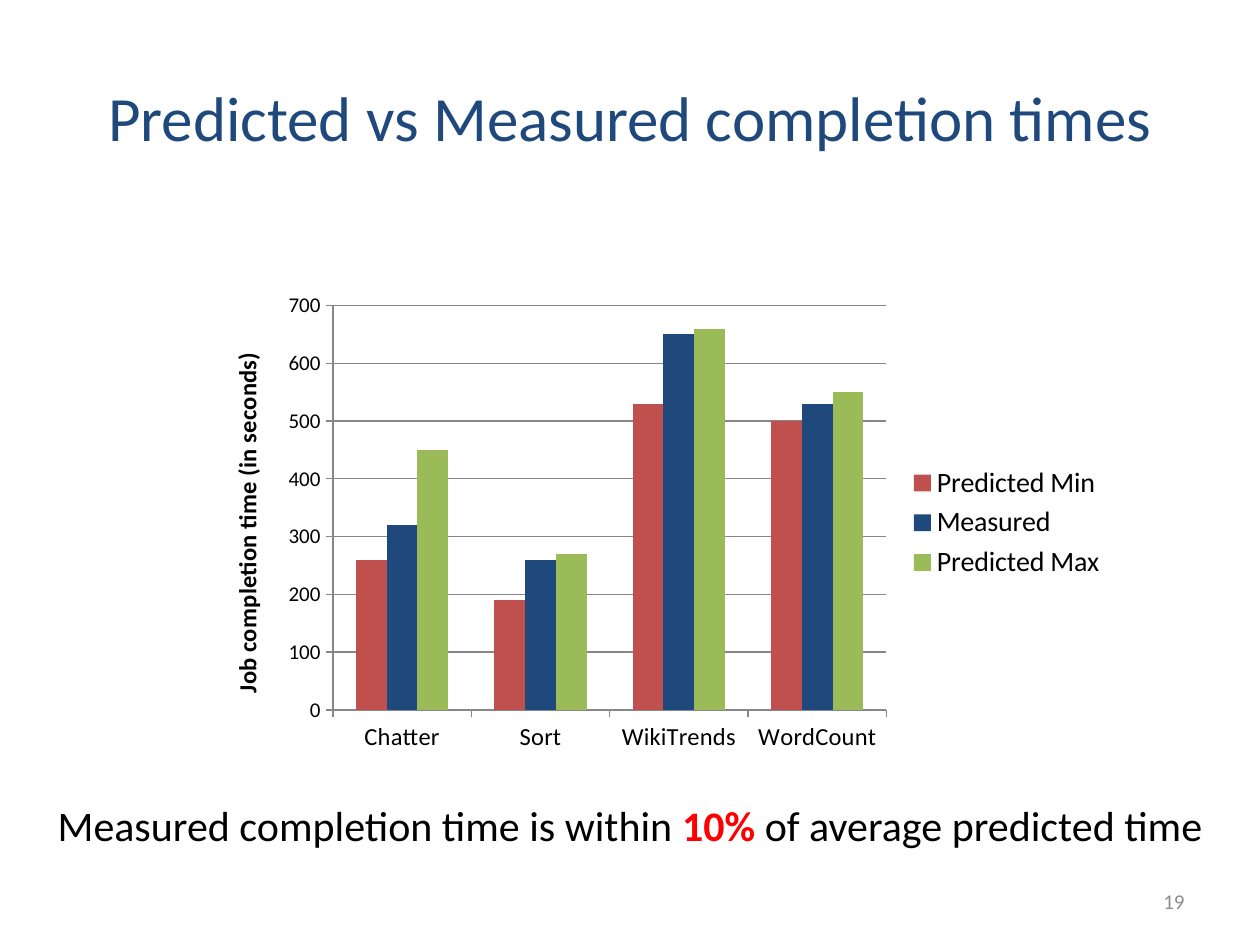
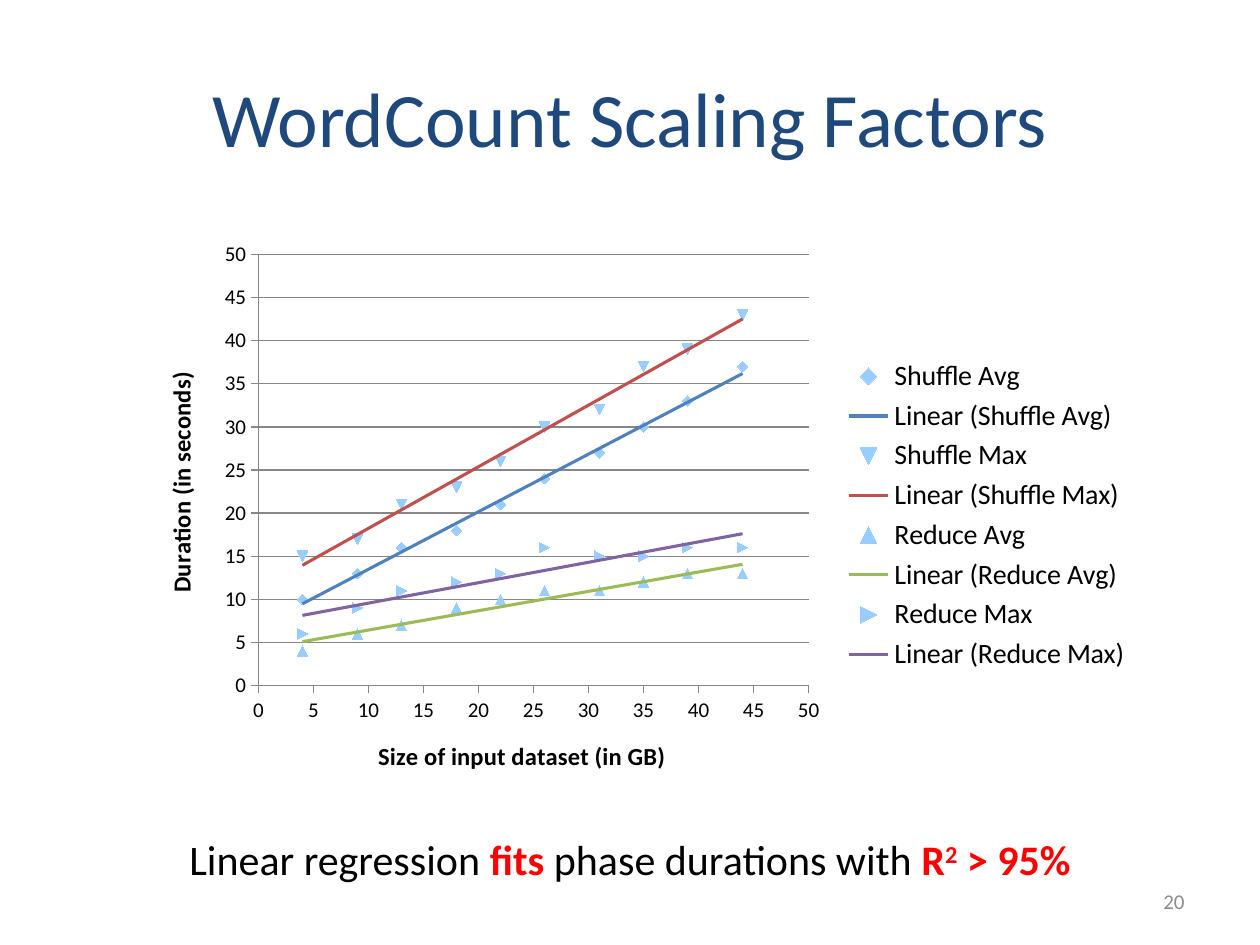
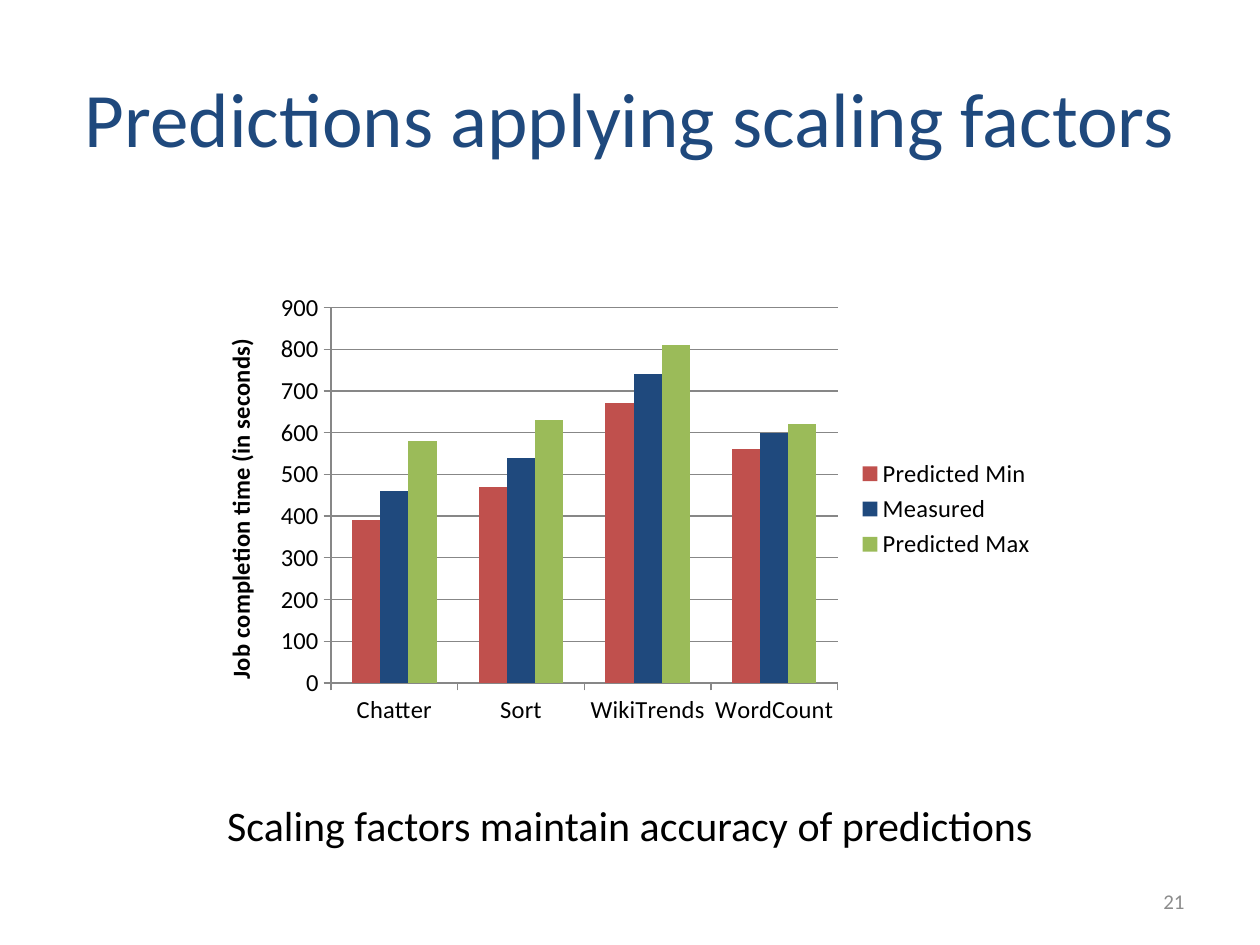
from lxml import etree
from pptx import Presentation
from pptx import util as u
from pptx.chart import data
from pptx.dml.color import RGBColor
from pptx.enum import chart as ch
from pptx.enum import text as tx
from pptx.oxml.ns import qn

Pt = u.Pt
FONT = "Calibri"
BLACK = RGBColor(0x00, 0x00, 0x00)
NAVY = RGBColor(0x1F, 0x49, 0x7D)
RED = RGBColor(0xFF, 0x00, 0x00)
GRAY = RGBColor(0x8C, 0x8C, 0x8C)
AXIS_GRAY = RGBColor(0x87, 0x87, 0x87)
BLUE = RGBColor(0x4F, 0x81, 0xBD)
BRICK = RGBColor(0xC0, 0x50, 0x4D)
GREEN = RGBColor(0x9B, 0xBB, 0x59)
PURPLE = RGBColor(0x80, 0x64, 0xA2)
SKY = RGBColor(0x99, 0xCC, 0xFF)

JOBS = ["Chatter", "Sort", "WikiTrends", "WordCount"]
JOB_AXIS = "Job completion time (in seconds)"
INPUT_SIZES = [4, 9, 13, 18, 22, 26, 31, 35, 39, 44]
HIGHLIGHT = dict(color=RED, bold=True)

# Content: series are (name, values, colour); caption runs are (text, format)
SLIDES = [
    dict(
        title="Predicted vs Measured completion times", title_size=36,
        box=(116, 162, 523.5, 273.5), y_title=JOB_AXIS, top=700, step=100,
        x_size=14, y_size=12, legend_size=16,
        series=[("Predicted Min", [260, 190, 530, 500], BRICK),
                ("Measured", [320, 260, 650, 530], NAVY),
                ("Predicted Max", [450, 270, 660, 550], GREEN)],
        caption_top=453.5,
        caption=[("Measured completion time is within", {}), (" 10% ", HIGHLIGHT),
                 ("of average predicted time", {})]),
    dict(
        title="WordCount Scaling Factors", title_size=44,
        box=(78.5, 131.75, 575.25, 325.5), x_title="Size of input dataset (in GB)",
        y_title="Duration (in seconds)", top=50, step=5,
        x_size=12, y_size=12, legend_size=16,
        series=[("Shuffle Avg", [10, 13, 16, 18, 21, 24, 27, 30, 33, 37], BLUE),
                ("Shuffle Max", [15, 17, 21, 23, 26, 30, 32, 37, 39, 43], BRICK),
                ("Reduce Avg", [4, 6, 7, 9, 10, 11, 11, 12, 13, 13], GREEN),
                ("Reduce Max", [6, 9, 11, 12, 13, 16, 15, 15, 16, 16], PURPLE)],
        caption_top=473,
        caption=[("Linear regression ", {}), ("fits ", HIGHLIGHT),
                 ("phase durations with ", {}), ("R", HIGHLIGHT),
                 ("2", dict(HIGHLIGHT, baseline=30000)), (" > 95%", HIGHLIGHT)]),
    dict(
        title="Predictions applying scaling factors", title_size=44,
        box=(112.25, 162, 486.75, 257.75), y_title=JOB_AXIS, top=900, step=100,
        x_size=14, y_size=14, legend_size=14,
        series=[("Predicted Min", [390, 470, 670, 560], BRICK),
                ("Measured", [460, 540, 740, 600], NAVY),
                ("Predicted Max", [580, 630, 810, 620], GREEN)],
        caption_top=453.5,
        caption=[("Scaling factors maintain accuracy of predictions", {})]),
]


def write(frame, words, size=24, color=BLACK, bold=False,
          align=tx.PP_ALIGN.CENTER, baseline=None):
    """Add one formatted run to the first paragraph of a text frame."""
    paragraph = frame.paragraphs[0]
    paragraph.alignment = align
    run = paragraph.add_run()
    run.text = words
    run.font.name, run.font.size, run.font.bold = FONT, Pt(size), bold
    run.font.color.rgb = color
    if baseline:
        run.font.element.set("baseline", str(baseline)) if hasattr(
            run.font, "element") else run._r.get_or_add_rPr().set("baseline", str(baseline))


def add_trend(ser, name, color):
    """Give a scatter series a linear trend line."""
    trend = etree.Element(qn("c:trendline"))
    etree.SubElement(trend, qn("c:name")).text = f"Linear ({name})"
    props = etree.SubElement(trend, qn("c:spPr"))
    line = etree.SubElement(props, qn("a:ln"), w=str(Pt(1.75)))
    fill = etree.SubElement(line, qn("a:solidFill"))
    etree.SubElement(fill, qn("a:srgbClr"), val=str(color))
    etree.SubElement(trend, qn("c:trendlineType"), val="linear")
    for flag in ("c:dispRSqr", "c:dispEq"):
        etree.SubElement(trend, qn(flag), val="0")
    ser.find(qn("c:xVal")).addprevious(trend)


prs = Presentation()
prs.slide_width, prs.slide_height = Pt(720), Pt(540)

for number, content in enumerate(SLIDES, start=19):
    slide = prs.slides.add_slide(prs.slide_layouts[5])
    is_scatter = "x_title" in content

    # Title
    title = slide.shapes.title
    title.left, title.top, title.width, title.height = Pt(36), Pt(21.6), Pt(648), Pt(90)
    title.text_frame.vertical_anchor = tx.MSO_ANCHOR.MIDDLE
    write(title.text_frame, content["title"], size=content["title_size"], color=NAVY)

    # Chart data
    if is_scatter:
        kind, figures = ch.XL_CHART_TYPE.XY_SCATTER, data.XyChartData()
        for name, durations, _ in content["series"]:
            points = figures.add_series(name)
            for size, duration in zip(INPUT_SIZES, durations):
                points.add_data_point(size, duration)
    else:
        kind, figures = ch.XL_CHART_TYPE.COLUMN_CLUSTERED, data.CategoryChartData()
        figures.categories = JOBS
        for name, times, _ in content["series"]:
            figures.add_series(name, times)
    chart = slide.shapes.add_chart(kind, *map(Pt, content["box"]), figures).chart
    chart.has_title = False
    chart.font.name, chart.font.size = FONT, Pt(10)
    chart.font.color.rgb = BLACK
    chart.has_legend = True
    chart.legend.position = ch.XL_LEGEND_POSITION.RIGHT
    chart.legend.include_in_layout = False
    chart.legend.font.size = Pt(content["legend_size"])

    # Axes
    x_axis, y_axis = chart.category_axis, chart.value_axis
    for axis, size in ((x_axis, content["x_size"]), (y_axis, content["y_size"])):
        axis.major_tick_mark = ch.XL_TICK_MARK.OUTSIDE
        axis.minor_tick_mark = ch.XL_TICK_MARK.NONE
        axis.tick_labels.font.size = Pt(size)
        axis.format.line.color.rgb = AXIS_GRAY
        axis.format.line.width = Pt(0.75)
    x_axis.has_major_gridlines = False
    y_axis.has_major_gridlines = True
    y_axis.major_gridlines.format.line.color.rgb = AXIS_GRAY
    y_axis.major_gridlines.format.line.width = Pt(0.75)
    for axis in (x_axis, y_axis) if is_scatter else (y_axis,):
        axis.minimum_scale, axis.maximum_scale = 0, content["top"]
        axis.major_unit = content["step"]
    write(y_axis.axis_title.text_frame, content["y_title"], size=14, bold=True)
    y_axis.axis_title.element.find(".//" + qn("a:bodyPr")).set("rot", "-5400000")
    if is_scatter:
        write(x_axis.axis_title.text_frame, content["x_title"], size=14, bold=True)

    # Series
    plot = chart.plots[0]
    plot.vary_by_categories = False
    if not is_scatter:
        plot.gap_width, plot.overlap = 150, 0
    for series, (_, _, color) in zip(plot.series, content["series"]):
        if is_scatter:
            series.marker.style = ch.XL_MARKER_STYLE.AUTOMATIC
            series.marker.size = 6
            series.marker.format.fill.solid()
            series.marker.format.fill.fore_color.rgb = SKY
            series.marker.format.line.fill.background()
        else:
            series.format.fill.solid()
            series.format.fill.fore_color.rgb = color
    if is_scatter:
        # Automatic markers follow the index: 1 is a diamond, 2 to 4 are triangles
        sers = list(chart.element.iter(qn("c:ser")))
        for index, (ser, (name, _, color)) in enumerate(zip(sers, content["series"]), 1):
            ser.find(qn("c:idx")).set("val", str(index))
            add_trend(ser, name, color)

    # Caption
    caption = slide.shapes.add_textbox(
        Pt(0), Pt(content["caption_top"]), Pt(720), Pt(36)).text_frame
    caption.word_wrap = True
    caption.auto_size = tx.MSO_AUTO_SIZE.SHAPE_TO_FIT_TEXT
    for words, look in content["caption"]:
        write(caption, words, **look)

    # Slide number
    footer = slide.shapes.add_textbox(Pt(516), Pt(500.5), Pt(168), Pt(28.75)).text_frame
    footer.word_wrap = True
    footer.vertical_anchor = tx.MSO_ANCHOR.MIDDLE
    write(footer, str(number), size=12, color=GRAY, align=tx.PP_ALIGN.RIGHT)

prs.save("out.pptx")
